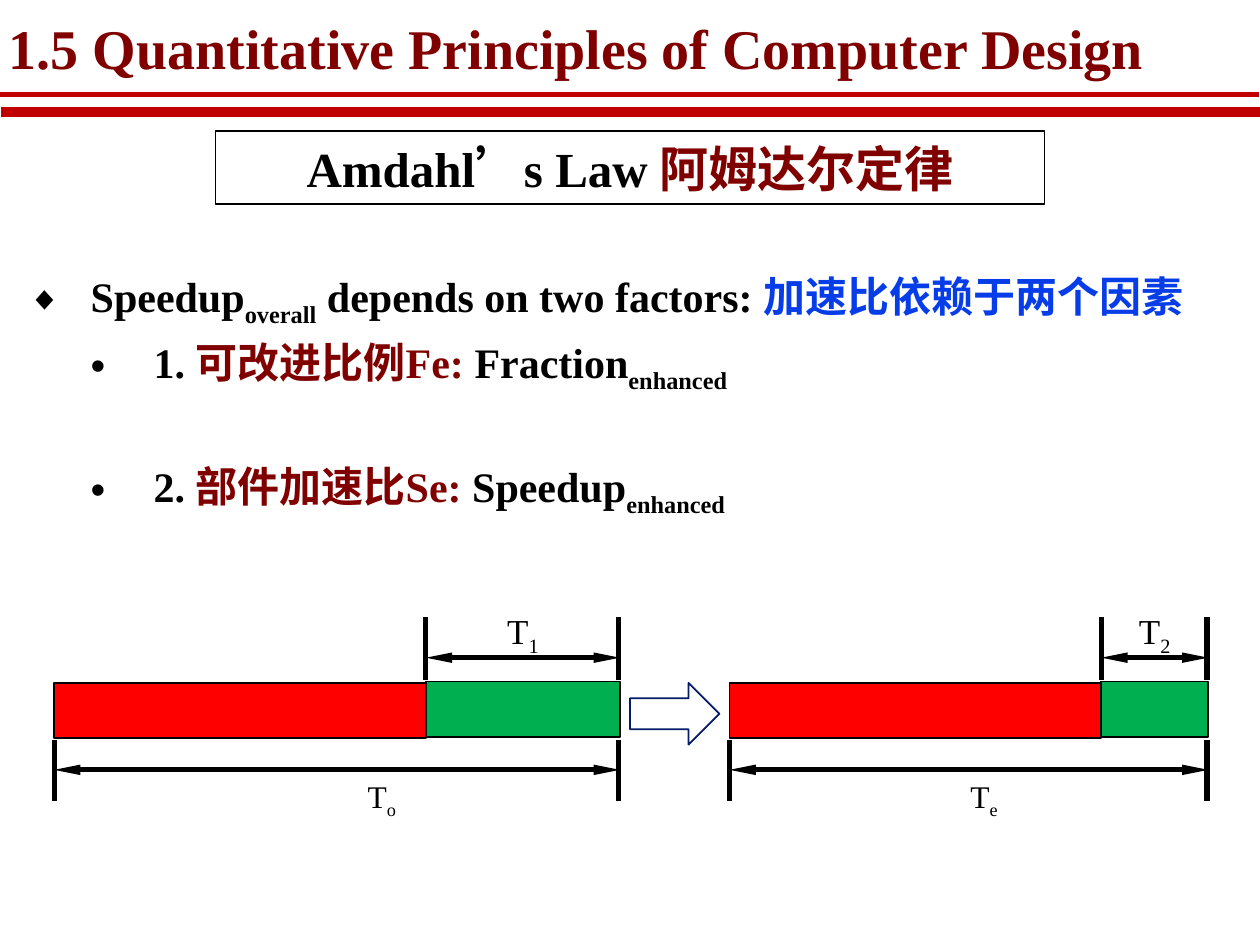
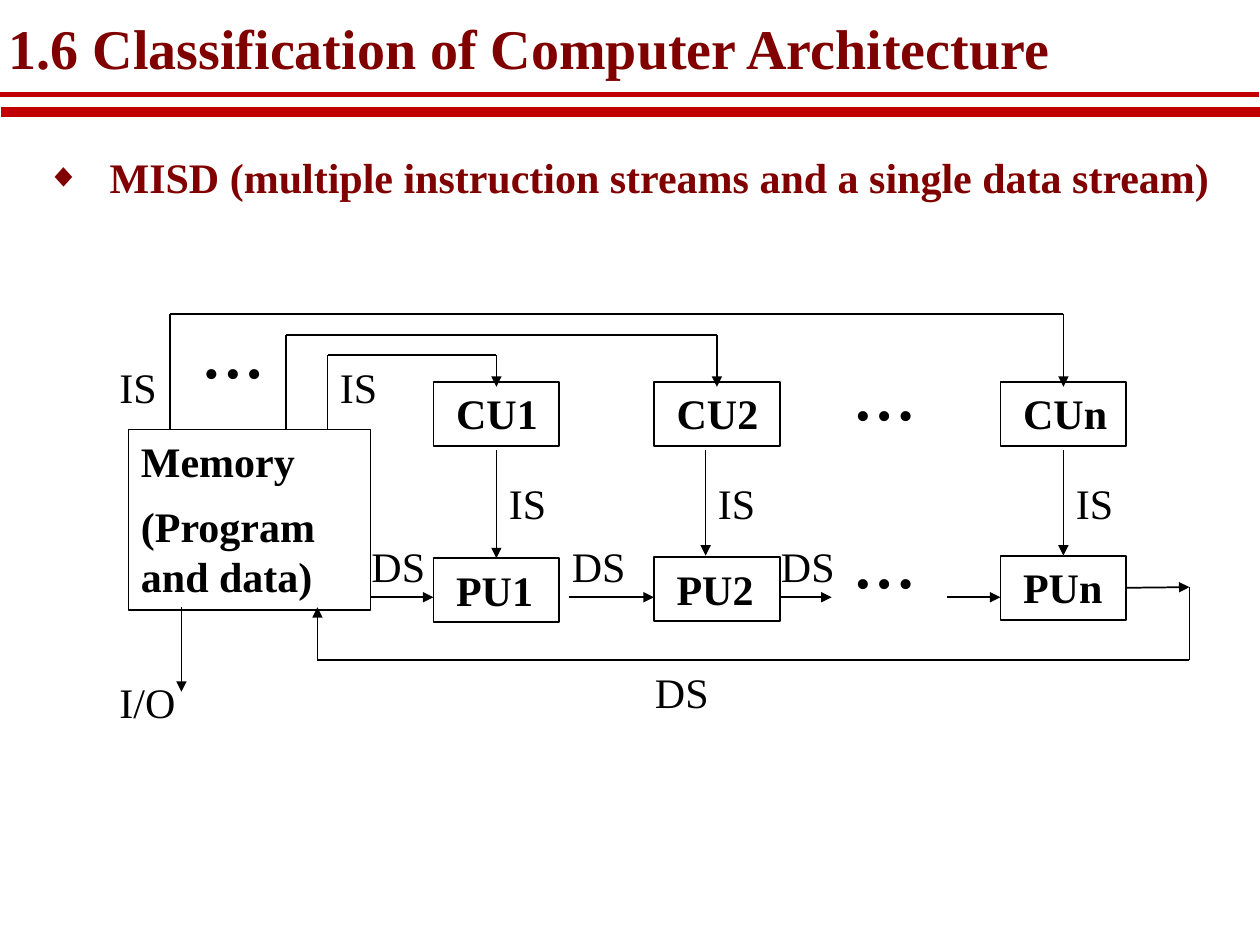
from dataclasses import dataclass
from itertools import pairwise

from lxml import etree
from pptx import Presentation
from pptx.dml.color import RGBColor
from pptx.enum import shapes, text
from pptx.oxml.ns import qn
from pptx.util import Inches, Pt


@dataclass(frozen=True)
class Theme:
    """Colours, font and type sizes shared by the slides."""
    font: str = "Times New Roman"
    black: str = "000000"
    maroon: str = "800000"
    band: str = "C00000"
    blue: str = "063DE8"
    navy: str = "031B69"
    red: str = "FF0000"
    green: str = "00B050"
    title: int = 32
    heading: int = 28
    body: int = 24
    top_label: int = 20
    bottom_label: int = 18


THEME = Theme()


def rgb(color):
    """Return the colour object for a hex string."""
    return RGBColor.from_string(color)


def place(shape, left, top, width, height):
    """Move and size a shape, in inches."""
    shape.left, shape.top = Inches(left), Inches(top)
    shape.width, shape.height = Inches(width), Inches(height)


def set_frame(shape, side=0.1, edge=0.05, anchor=text.MSO_ANCHOR.TOP):
    """Set wrapping, margins and anchor, and return the text frame."""
    frame = shape.text_frame
    frame.word_wrap = True
    frame.auto_size = text.MSO_AUTO_SIZE.NONE
    frame.vertical_anchor = anchor
    frame.margin_left = frame.margin_right = Inches(side)
    frame.margin_top = frame.margin_bottom = Inches(edge)
    return frame


def write(paragraph, runs, size, bold=False, color=THEME.black, align=text.PP_ALIGN.LEFT):
    """Fill a paragraph from (text, style) runs; a style is a colour, "sub" or None."""
    paragraph.alignment = align
    font = paragraph.font
    font.name, font.size, font.bold = THEME.font, Pt(size), bold
    font.color.rgb = rgb(color)
    for words, style in runs:
        run = paragraph.add_run()
        run.text = words
        if style == "sub":
            run.font._element.set("baseline", "-25000")
        elif style:
            run.font.color.rgb = rgb(style)


def add_bullet(paragraph, character, indent, size=100):
    """Give a paragraph a hanging bullet."""
    properties = paragraph._p.get_or_add_pPr()
    properties.set("marL", str(Inches(indent)))
    properties.set("indent", str(Inches(-0.5)))
    etree.SubElement(properties, qn("a:buSzPct"), val=str(size * 1000))
    etree.SubElement(properties, qn("a:buChar"), char=character)


def add_line(slide, start, end, color=THEME.black, width=1, head=None, tail=None):
    """Draw a straight line; head and tail are arrowhead (width, length) pairs."""
    line = slide.shapes.add_connector(
        shapes.MSO_CONNECTOR.STRAIGHT, *map(Inches, (*start, *end)))
    line.line.color.rgb = rgb(color)
    line.line.width = Pt(width)
    outline = line.line._get_or_add_ln()
    for tag, arrow in (("a:headEnd", head), ("a:tailEnd", tail)):
        if arrow:
            etree.SubElement(outline, qn(tag), type="triangle", w=arrow[0], len=arrow[1])
    etree.SubElement(line._element.spPr, qn("a:effectLst"))
    return line


def add_route(slide, *points):
    """Draw a bent path with an arrowhead at its last point."""
    for start, end in pairwise(points):
        tail = ("med", "med") if end == points[-1] else None
        line = add_line(slide, start, end, tail=tail)
    return line


def add_box(slide, left, top, width, height, fill=None, line=THEME.black,
            kind=shapes.MSO_SHAPE.RECTANGLE):
    """Add a thinly outlined shape, hollow unless a fill is given."""
    box = slide.shapes.add_shape(kind, *map(Inches, (left, top, width, height)))
    box.shadow.inherit = False
    box.line.color.rgb = rgb(line)
    box.line.width = Pt(1)
    if fill:
        box.fill.solid()
        box.fill.fore_color.rgb = rgb(fill)
    else:
        box.fill.background()
    return box


def add_label(slide, left, top, width, height, runs, size=THEME.body,
              align=text.PP_ALIGN.LEFT, side=0.1, edge=0.05):
    """Add a plain text label."""
    label = slide.shapes.add_textbox(*map(Inches, (left, top, width, height)))
    write(set_frame(label, side, edge).paragraphs[0], runs, size, align=align)


def add_unit(slide, left, top, name):
    """Add a control or processing unit."""
    unit = add_box(slide, left, top, 1, 0.51)
    frame = set_frame(unit)
    frame.margin_left = Inches(0.18)
    write(frame.paragraphs[0], [(name, None)], THEME.body, bold=True)
    return unit


def add_dots(slide, left, top):
    """Add three spaced dots."""
    for index in range(3):
        add_label(slide, left + index * 0.17, top, 0.17, 0.43, [("•", None)],
                  side=0.02, edge=0.01)


def add_slide(presentation, title):
    """Add a slide with its title and double band."""
    slide = presentation.slides.add_slide(presentation.slide_layouts[1])
    place(slide.shapes.title, 0, 0.15, 9.4, 0.52)
    frame = set_frame(slide.shapes.title, 0.07, 0.03, text.MSO_ANCHOR.MIDDLE)
    paragraph = frame.paragraphs[0]
    paragraph.line_spacing = 0.87
    write(paragraph, [(title, None)], THEME.title, bold=True, color=THEME.maroon)
    add_line(slide, (0.01, 0.89), (10, 0.89), THEME.band, 6)
    add_line(slide, (0, 0.75), (9.99, 0.75), THEME.band, 3)
    return slide


def add_body(slide, bounds, items, color=THEME.black):
    """Fill the body placeholder from (level, space before, runs) items."""
    body = slide.placeholders[1]
    place(body, *bounds)
    frame = set_frame(body)
    for index, (level, space, runs) in enumerate(items):
        paragraph = frame.add_paragraph() if index else frame.paragraphs[0]
        paragraph.level = level
        add_bullet(paragraph, "◆•"[level], 0.5 * (level + 1), (80, 100)[level])
        paragraph.space_before = Pt(space)
        write(paragraph, runs, THEME.body, True, color, text.PP_ALIGN.JUSTIFY)


def add_timeline(slide, left, split, right, part, whole, whole_center):
    """Draw a two-part time bar with its measured part and whole."""
    add_box(slide, left, 5.42, split - left, 0.44, THEME.red)
    add_box(slide, split, 5.41, right - split, 0.44, THEME.green)
    edge = right - 0.01
    for x, top, bottom in ((left, 5.87, 6.36), (edge, 5.87, 6.36),
                           (split, 4.9, 5.4), (edge, 4.9, 5.4)):
        add_line(slide, (x, top), (x, bottom), width=3)
    arrow = ("sm", "lg")
    for start, y in ((left, 6.11), (split, 5.22)):
        add_line(slide, (start, y), (right, y), width=3, head=arrow, tail=arrow)
    for center, top, subscript, size in (
            ((split + right) / 2, 4.79, part, THEME.top_label),
            (whole_center, 6.12, whole, THEME.bottom_label)):
        add_label(slide, center - 0.3, top, 0.6, 0.42, [("T", None), (subscript, "sub")],
                  size, text.PP_ALIGN.CENTER)


def add_amdahl_slide(presentation):
    """Build the slide on Amdahl's law."""
    slide = add_slide(presentation, "1.5 Quantitative Principles of Computer Design")
    law = add_box(slide, 1.71, 1.04, 6.58, 0.58)
    frame = set_frame(law, anchor=text.MSO_ANCHOR.MIDDLE)
    write(frame.paragraphs[0], [("Amdahl’s Law ", None), ("阿姆达尔定律", THEME.maroon)],
          THEME.heading, True, align=text.PP_ALIGN.CENTER)
    add_body(slide, (0.12, 2.1, 9.69, 1.96), [
        (0, 0, [("Speedup", None), ("overall", "sub"), (" depends on two factors: ", None),
                ("加速比依赖于两个因素", THEME.blue)]),
        (1, 5, [("1. ", None), ("可改进比例Fe: ", THEME.maroon),
                ("Fraction", None), ("enhanced", "sub")]),
        (1, 38, [("2. ", None), ("部件加速比Se: ", THEME.maroon),
                 ("Speedup", None), ("enhanced", "sub")]),
    ])
    add_box(slide, 5, 5.42, 0.71, 0.49, line=THEME.navy, kind=shapes.MSO_SHAPE.RIGHT_ARROW)
    add_timeline(slide, 0.43, 3.38, 4.92, "1", "o", 3.03)
    add_timeline(slide, 5.79, 8.74, 9.59, "2", "e", 7.81)


def add_memory(slide):
    """Add the memory box."""
    frame = set_frame(add_box(slide, 1.02, 3.41, 1.92, 1.43))
    write(frame.paragraphs[0], [("Memory", None)], THEME.body, bold=True)
    content = frame.add_paragraph()
    content.space_before = Pt(8)
    write(content, [("(Program and data)", None)], THEME.body, bold=True)


def add_misd_slide(presentation):
    """Build the slide on the MISD class."""
    slide = add_slide(presentation, "1.6 Classification of Computer Architecture")
    add_body(slide, (0.27, 1.15, 9.5, 0.5), [
        (0, 0, [("MISD (multiple instruction streams and a single data stream)", None)]),
    ], THEME.maroon)
    add_memory(slide)
    for suffix, left, processor_top, stream_x, source_x, bend_y in (
            ("1", 3.44, 4.43, 3.94, 2.6, 2.82),
            ("2", 5.19, 4.42, 5.6, 2.27, 2.66),
            ("n", 7.94, 4.41, 8.44, 1.35, 2.49)):
        center = left + 0.5
        add_unit(slide, left, 3.03, "CU" + suffix)
        processor = add_unit(slide, left, processor_top, "PU" + suffix)
        add_route(slide, (source_x, 3.41), (source_x, bend_y), (center, bend_y), (center, 3.07))
        stream = add_route(slide, (stream_x, 3.57), (stream_x, 4.41))
        if stream_x == center:
            stream.end_connect(processor, 0)
    output = add_route(slide, (8.94, 4.66), (9.44, 4.66))
    output.begin_connect(processor, 3)
    add_route(slide, (9.44, 4.66), (9.44, 5.24), (2.52, 5.24), (2.52, 4.82))
    add_route(slide, (1.44, 4.82), (1.44, 5.49))
    for start, end in ((2.94, 3.44), (4.52, 5.19), (6.19, 6.6), (7.52, 7.94)):
        add_route(slide, (start, 4.74), (end, 4.74))
    for name, places in (
            ("IS", ((0.85, 2.82), (2.6, 2.82), (3.94, 3.74), (5.6, 3.74), (8.44, 3.74))),
            ("DS", ((2.85, 4.24), (4.44, 4.24), (6.1, 4.24), (5.1, 5.24))),
            ("I/O", ((0.85, 5.32),))):
        for left, top in places:
            add_label(slide, left, top, 0.67, 0.51, [(name, None)])
    for left, top in ((1.6, 2.74), (6.77, 3.07), (6.77, 4.41)):
        add_dots(slide, left, top)


def main():
    """Build and save the presentation."""
    presentation = Presentation()
    presentation.slide_width, presentation.slide_height = Inches(10), Inches(7.5)
    add_amdahl_slide(presentation)
    add_misd_slide(presentation)
    presentation.save("out.pptx")


if __name__ == "__main__":
    main()
